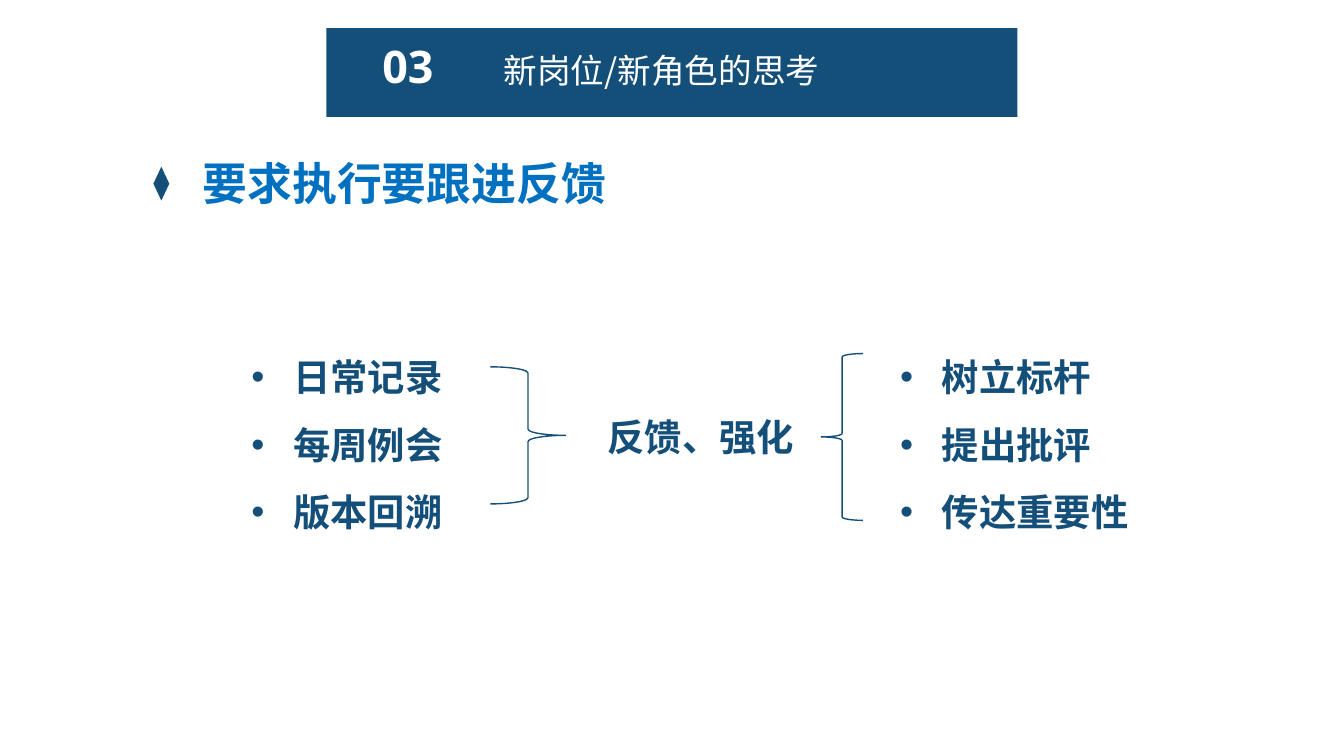
from lxml.etree import SubElement
from pptx import Presentation
from pptx.dml.color import RGBColor
from pptx.enum.lang import MSO_LANGUAGE_ID as LANG
from pptx.enum.shapes import MSO_SHAPE as SHAPE
from pptx.enum.text import MSO_AUTO_SIZE as AUTO, PP_ALIGN as ALIGN
from pptx.oxml.ns import qn
from pptx.util import Cm, Pt

NAVY = RGBColor(0x14, 0x4F, 0x7A)
BLUE = RGBColor(0x00, 0x70, 0xC0)
WHITE = RGBColor(0xFF, 0xFF, 0xFF)
CJK = "Noto Sans CJK SC"

NUMBER = {"name": "Open Sans", "size": Pt(24), "bold": True, "color": WHITE}
TITLE = {"name": CJK, "size": Pt(18), "bold": False, "color": WHITE}
HEADING = {"name": "Calibri", "size": Pt(24), "bold": True, "color": BLUE}
BODY = {"name": "Calibri", "size": Pt(20), "bold": True, "color": NAVY}

LIST_TOP, LIST_HEIGHT, INDENT = 6.15, 3.96, 0.79

SOLIDS = [
    (SHAPE.RECTANGLE, (6.17, 0.53, 13.06, 1.68)),
    (SHAPE.FLOWCHART_SORT, (2.9, 3.15, 0.3, 0.64)),
]
BRACES = [
    (SHAPE.RIGHT_BRACE, (9.27, 6.93, 1.42, 2.59)),
    (SHAPE.LEFT_BRACE, (15.52, 6.68, 0.79, 3.15)),
]
LABELS = [
    ("03", (6.15, 0.61, 3.12, 1.27), NUMBER, ALIGN.CENTER, True),
    ("新岗位/新角色的思考", (9.27, 0.81, 6.86, 1.02), TITLE, ALIGN.LEFT, True),
    ("要求执行要跟进反馈", (3.58, 2.82, 8.26, 1.27), HEADING, ALIGN.LEFT, False),
    ("反馈、强化", (11.23, 7.7, 4.06, 1.12), BODY, ALIGN.LEFT, False),
]
LISTS = [
    (["日常记录", "每周例会", "版本回溯"], 4.5, 4.19),
    (["树立标杆", "提出批评", "传达重要性"], 16.76, 4.9),
]

prs = Presentation()
prs.slide_width, prs.slide_height = Cm(25.4), Cm(14.28)
s = prs.slides.add_slide(prs.slide_layouts[6])


def add_shape(kind, box):
    sp = s.shapes.add_shape(kind, *map(Cm, box))
    sp.shadow.inherit = False
    return sp


def add_text(lines, box, style, align=ALIGN.LEFT, wrap=False, bullets=False):
    tf = s.shapes.add_textbox(*map(Cm, box)).text_frame
    tf.word_wrap = wrap
    tf.auto_size = AUTO.SHAPE_TO_FIT_TEXT
    for i, line in enumerate(lines):
        p = tf.add_paragraph() if i else tf.paragraphs[0]
        p.alignment = align
        if bullets:
            p.line_spacing = 1.5
            add_bullet(p)
        r = p.add_run()
        r.text = line
        for key, value in style.items():
            if key == "color":
                r.font.color.rgb = value
            else:
                setattr(r.font, key, value)
        r.font.language_id = LANG.SIMPLIFIED_CHINESE
        SubElement(r.font._element, qn("a:ea"), typeface=CJK)


def add_bullet(p):
    pPr = p._p.get_or_add_pPr()
    pPr.set("marL", str(Cm(INDENT)))
    pPr.set("indent", str(-Cm(INDENT)))
    SubElement(pPr, qn("a:buFont"), typeface="Arial")
    SubElement(pPr, qn("a:buChar"), char="•")


for kind, box in SOLIDS:
    sp = add_shape(kind, box)
    sp.fill.solid()
    sp.fill.fore_color.rgb = NAVY
    sp.line.fill.background()

for kind, box in BRACES:
    sp = add_shape(kind, box)
    sp.fill.background()
    sp.line.color.rgb = NAVY
    sp.line.width = Pt(0.75)

for text, box, style, align, wrap in LABELS:
    add_text([text], box, style, align, wrap)

for items, left, width in LISTS:
    add_text(items, (left, LIST_TOP, width, LIST_HEIGHT), BODY, bullets=True)

prs.save("out.pptx")
